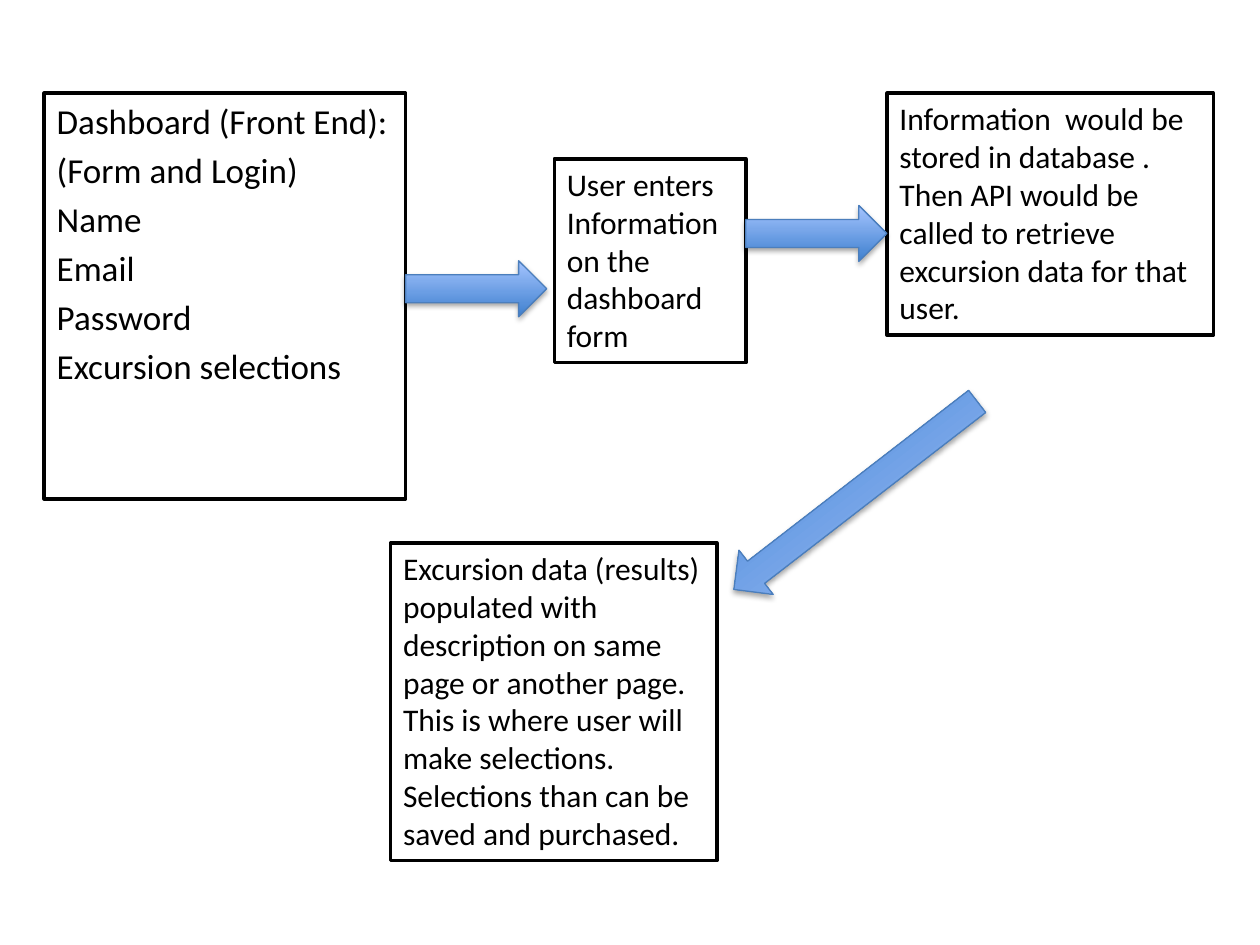
import pptx
import pptx.dml.color
import pptx.enum.shapes
import pptx.enum.text
import pptx.oxml
import pptx.oxml.ns
import pptx.util
from lxml import etree

Pt = pptx.util.Pt
COLORS = {
    "paper": "FFFFFF",
    "ink": "000000",
    "arrow_dark": "3F80CE",
    "arrow_light": "A4C4FF",
    "arrow_edge": "4B7EBC",
}


def rgb(name):
    return pptx.dml.color.RGBColor.from_string(COLORS[name])


class FlowPage:
    font = "Calibri"

    def __init__(self, page):
        self.page = page

    def style_box(self, box, text, size):
        box.fill.solid()
        box.fill.fore_color.rgb = rgb("paper")
        box.line.color.rgb = rgb("ink")
        box.line.width = Pt(2)
        frame = box.text_frame
        frame.text = text
        frame.word_wrap = True
        for para in frame.paragraphs:
            para.alignment = pptx.enum.text.PP_ALIGN.LEFT
            for span in para.runs:
                span.font.name = self.font
                span.font.size = Pt(size)
                span.font.color.rgb = rgb("ink")

    def subtitle(self, left, top, width, height, text):
        box = self.page.placeholders[1]
        box.left, box.top = Pt(left), Pt(top)
        box.width, box.height = Pt(width), Pt(height)
        self.style_box(box, text, 20)

    def step(self, left, top, width, height, text):
        box = self.page.shapes.add_textbox(Pt(left), Pt(top), Pt(width), Pt(height))
        self.style_box(box, text, 18)
        box.text_frame.auto_size = pptx.enum.text.MSO_AUTO_SIZE.SHAPE_TO_FIT_TEXT

    def arrow(self, left, top, width, rotation=0):
        arrow = self.page.shapes.add_shape(
            pptx.enum.shapes.MSO_SHAPE.RIGHT_ARROW,
            Pt(left), Pt(top), Pt(width), Pt(32))
        arrow.rotation = rotation
        arrow.fill.gradient()
        arrow.fill.gradient_angle = 90
        for stop, name, position in zip(
                arrow.fill.gradient_stops, ("arrow_dark", "arrow_light"), (0, 1)):
            stop.color.rgb = rgb(name)
            stop.position = position
        arrow.line.color.rgb = rgb("arrow_edge")
        arrow.line.width = Pt(0.75)
        self.drop_shadow(arrow)

    def drop_shadow(self, shape):
        shape.shadow.inherit = False
        qn = pptx.oxml.ns.qn
        effects = shape.element.spPr.find(qn("a:effectLst"))
        shadow = etree.SubElement(
            effects, qn("a:outerShdw"), blurRad=str(Pt(3.1)), dist=str(Pt(1.8)),
            dir="5400000", rotWithShape="0")
        color = etree.SubElement(shadow, qn("a:srgbClr"), val=COLORS["ink"])
        etree.SubElement(color, qn("a:alpha"), val="35000")


def main():
    deck = pptx.Presentation()
    deck.slide_width, deck.slide_height = Pt(720), Pt(540)
    page = deck.slides.add_slide(deck.slide_layouts[0])
    title = page.shapes.title.element
    title.getparent().remove(title)
    flow = FlowPage(page)

    # Front end
    flow.subtitle(25.2, 53.3, 206.6, 231.8, "\n".join([
        "Dashboard (Front End):", "(Form and Login)", "Name", "Email",
        "Password", "Excursion selections"]))
    flow.arrow(231.8, 149, 80.6)

    # User input
    flow.step(316.8, 90.7, 109.4, 116.6,
              "User enters\nInformation on the dashboard form")

    # Storage and retrieval
    flow.step(506.9, 53.3, 186.5, 138.2,
              "Information  would be stored in database . Then API would be "
              "called to retrieve excursion data for that user.")
    flow.arrow(426.2, 117.4, 80.6)

    # Results
    flow.step(223.2, 310.3, 186.5, 181.4,
              "Excursion data (results) populated with description on same page "
              "or another page.  This is where user will make selections.  "
              "Selections than can be saved and purchased.")
    flow.arrow(401, 267.1, 175.7, rotation=142.3)

    deck.save("out.pptx")


if __name__ == "__main__":
    main()
